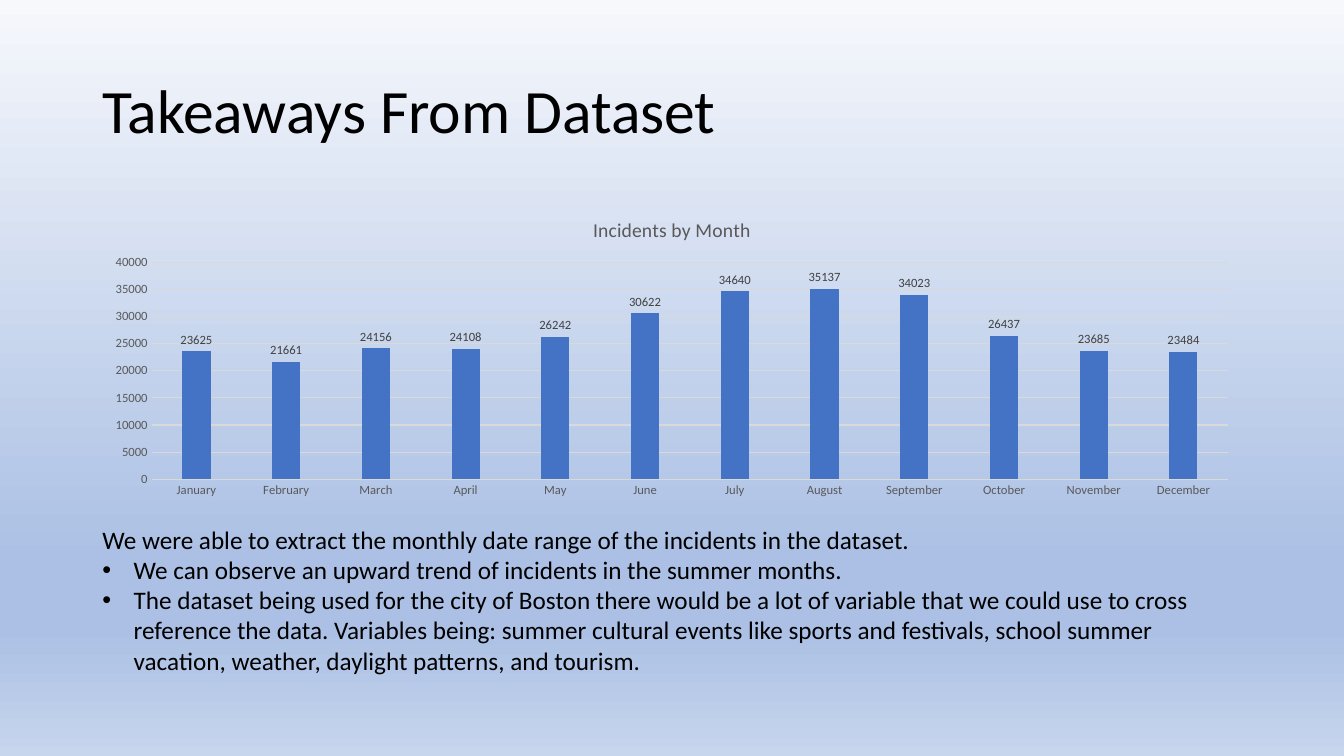
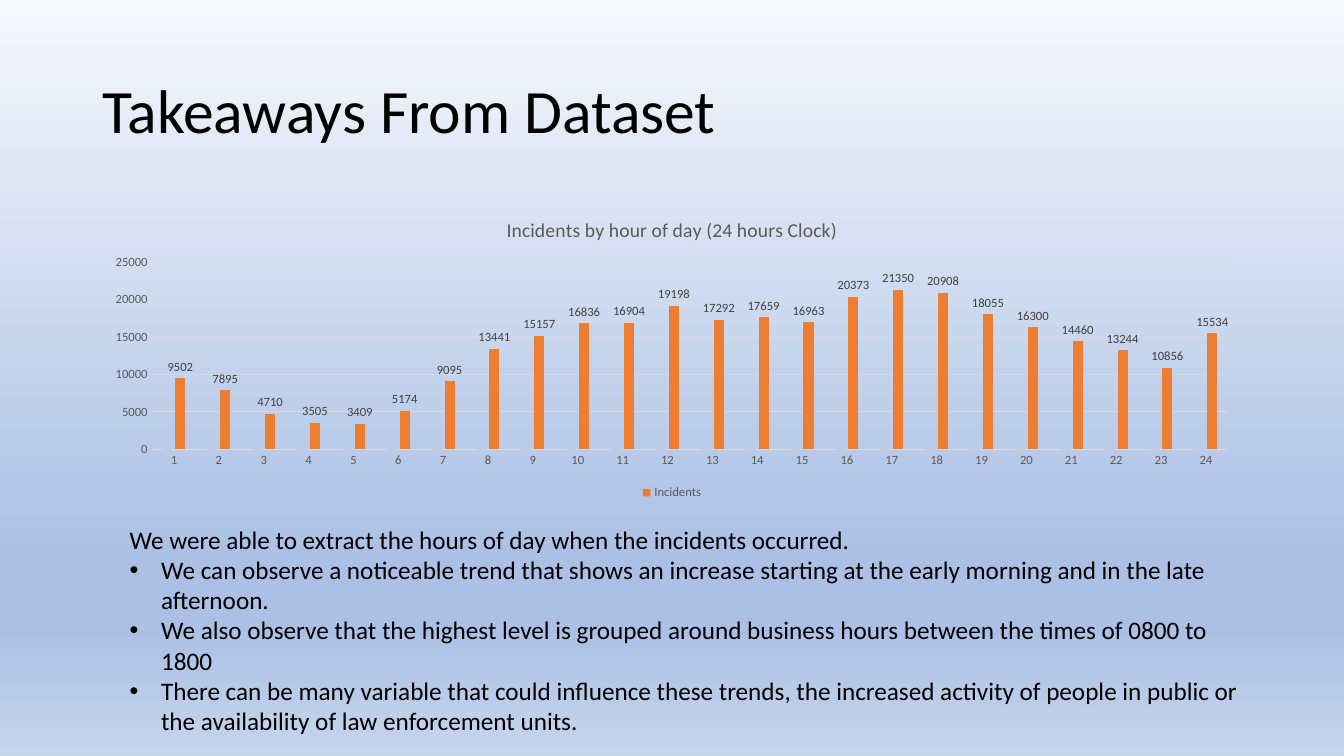
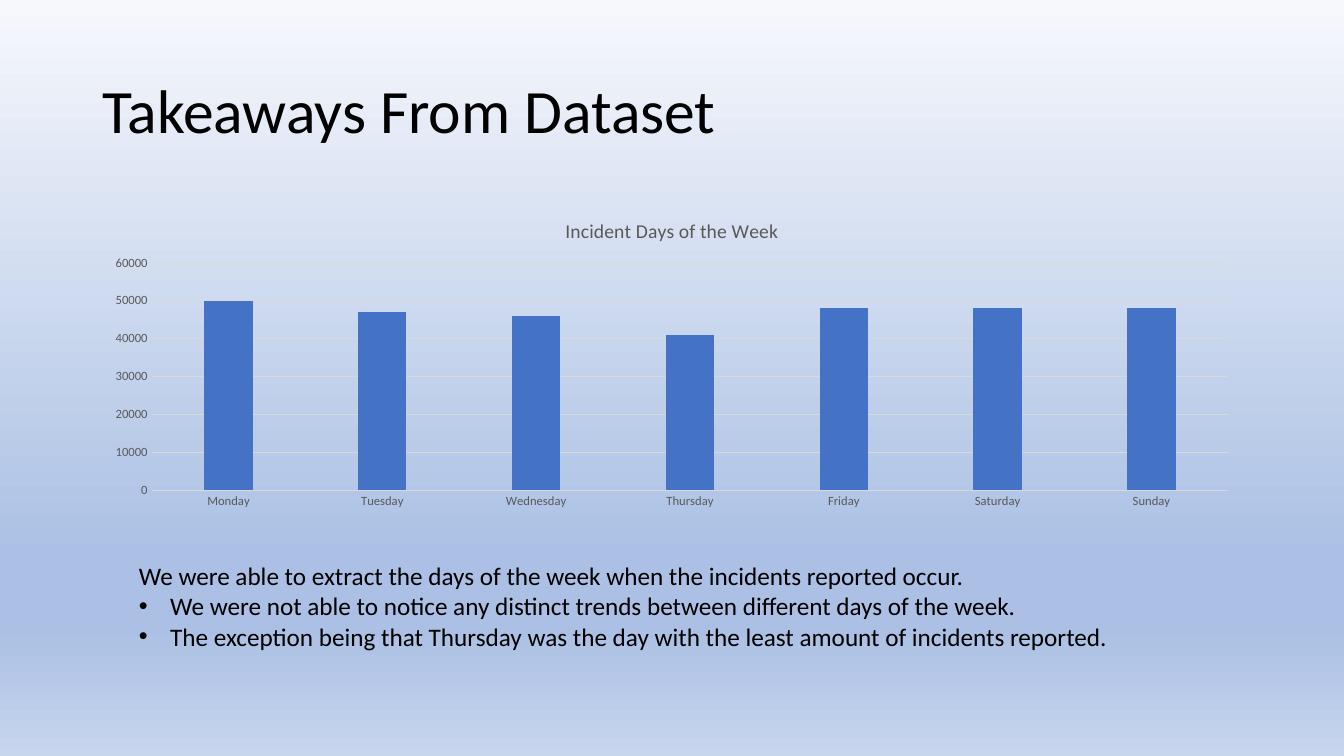
from copy import deepcopy

from lxml import etree
from pptx import Presentation
from pptx.chart.data import CategoryChartData
from pptx.dml.color import RGBColor
from pptx.enum.chart import XL_CHART_TYPE, XL_LABEL_POSITION, XL_LEGEND_POSITION, XL_TICK_MARK
from pptx.enum.text import MSO_ANCHOR, MSO_AUTO_SIZE, PP_ALIGN
from pptx.oxml.ns import qn
from pptx.util import Cm, Pt

COLUMNS = XL_CHART_TYPE.COLUMN_CLUSTERED
OUTSIDE_END = XL_LABEL_POSITION.OUTSIDE_END
LEGEND_BOTTOM = XL_LEGEND_POSITION.BOTTOM
NO_TICK = XL_TICK_MARK.NONE
MIDDLE = MSO_ANCHOR.MIDDLE
NO_AUTOFIT, GROW = MSO_AUTO_SIZE.NONE, MSO_AUTO_SIZE.SHAPE_TO_FIT_TEXT
LEFT = PP_ALIGN.LEFT

BLACK = RGBColor(0x00, 0x00, 0x00)
LABEL_GRAY = RGBColor(0x40, 0x40, 0x40)
AXIS_GRAY = RGBColor(0x59, 0x59, 0x59)
GRID_GRAY = RGBColor(0xD9, 0xD9, 0xD9)
BLUE = RGBColor(0x44, 0x72, 0xC4)
ORANGE = RGBColor(0xED, 0x7D, 0x31)
PALE = RGBColor(0xF6, 0xF8, 0xFC)
MIST = RGBColor(0xAB, 0xC0, 0xE4)
HAZE = RGBColor(0xC7, 0xD5, 0xED)
BACKGROUND_STOPS = ((0, PALE), (0.74, MIST), (0.83, MIST), (1, HAZE))

FONT = "Calibri"
MARGIN, CONTENT_WIDTH = Cm(2.33), Cm(29.21)
BULLET_INDENT = Cm(0.79)

MONTHS = ("January", "February", "March", "April", "May", "June", "July",
          "August", "September", "October", "November", "December")
HOURS = tuple(str(hour) for hour in range(1, 25))
DAYS = ("Monday", "Tuesday", "Wednesday", "Thursday", "Friday", "Saturday", "Sunday")
MONTH_INCIDENTS = (23625, 21661, 24156, 24108, 26242, 30622,
                   34640, 35137, 34023, 26437, 23685, 23484)
HOUR_INCIDENTS = (9502, 7895, 4710, 3505, 3409, 5174, 9095, 13441,
                  15157, 16836, 16904, 19198, 17292, 17659, 16963, 20373,
                  21350, 20908, 18055, 16300, 14460, 13244, 10856, 15534)
DAY_INCIDENTS = (50000, 47000, 46000, 41000, 48000, 48000, 48000)


class TakeawayDeck:
    """Holds the deck style and the slide being built."""

    def __init__(self):
        self.deck = Presentation()
        self.deck.slide_width, self.deck.slide_height = Cm(33.87), Cm(19.05)
        self.slide = None
        self.paint_background()

    def paint_background(self):
        master = self.deck.slide_master
        fill = master.background.fill
        fill.gradient()
        fill.gradient_angle = 270
        stop_list = master.element.find(".//" + qn("p:bg")).find(".//" + qn("a:gsLst"))
        while len(stop_list) < len(BACKGROUND_STOPS):
            stop_list.append(deepcopy(stop_list[0]))
        for stop, (position, color) in zip(fill.gradient_stops, BACKGROUND_STOPS):
            stop.position = position
            stop.color.rgb = color

    def style(self, font, size, color):
        font.name, font.size, font.bold = FONT, Pt(size), False
        font.color.rgb = color

    def add_slide(self, title):
        self.slide = self.deck.slides.add_slide(self.deck.slide_layouts[5])
        box = self.slide.shapes.title
        box.left, box.top, box.width, box.height = MARGIN, Cm(1.01), CONTENT_WIDTH, Cm(3.68)
        frame = box.text_frame
        frame.text = title
        frame.auto_size, frame.vertical_anchor = NO_AUTOFIT, MIDDLE
        paragraph = frame.paragraphs[0]
        paragraph.alignment, paragraph.line_spacing = LEFT, 0.9
        self.style(paragraph.font, 44, BLACK)

    def add_column_chart(self, title, categories, series, height=Cm(7.62), labelled=None):
        data = CategoryChartData()
        data.categories = categories
        for name, values, _ in series:
            data.add_series(name, values)
        chart = self.slide.shapes.add_chart(
            COLUMNS, MARGIN, Cm(5.08), CONTENT_WIDTH, height, data).chart
        self.style(chart.font, 10, BLACK)
        chart.has_legend = False
        chart.has_title = True
        heading = chart.chart_title.text_frame
        heading.text = title
        self.style(heading.paragraphs[0].font, 14, AXIS_GRAY)

        plot = chart.plots[0]
        plot.gap_width, plot.overlap, plot.vary_by_categories = 219, -27, False
        for columns, (name, _, color) in zip(plot.series, series):
            columns.format.fill.solid()
            columns.format.fill.fore_color.rgb = color
            if name == labelled:
                labels = columns.data_labels
                labels.show_value, labels.position = True, OUTSIDE_END
                self.style(labels.font, 9, LABEL_GRAY)

        for axis in (chart.category_axis, chart.value_axis):
            axis.major_tick_mark = axis.minor_tick_mark = NO_TICK
            self.style(axis.tick_labels.font, 9, AXIS_GRAY)
        chart.value_axis.format.line.fill.background()
        for line in (chart.category_axis.format.line,
                     chart.value_axis.major_gridlines.format.line):
            line.color.rgb, line.width = GRID_GRAY, Pt(0.75)
        return chart

    def add_legend(self, chart, hidden):
        chart.has_legend = True
        legend = chart.legend
        legend.position, legend.include_in_layout = LEGEND_BOTTOM, False
        self.style(legend.font, 9, AXIS_GRAY)
        entry = etree.Element(qn("c:legendEntry"))
        etree.SubElement(entry, qn("c:idx")).set("val", str(hidden))
        etree.SubElement(entry, qn("c:delete")).set("val", "1")
        chart.element.find(".//" + qn("c:legendPos")).addnext(entry)

    def add_findings(self, left, top, width, height, lead, bullets, wrap=True):
        box = self.slide.shapes.add_textbox(left, top, width, height)
        frame = box.text_frame
        frame.word_wrap, frame.auto_size = wrap, GROW
        frame.text = "\n".join((lead, *bullets))
        for paragraph in frame.paragraphs[1:]:
            self.add_bullet(paragraph)
        for paragraph in frame.paragraphs:
            self.style(paragraph.font, 18, BLACK)

    def add_bullet(self, paragraph):
        properties = paragraph._p.get_or_add_pPr()
        properties.set("marL", str(BULLET_INDENT))
        properties.set("indent", str(-BULLET_INDENT))
        etree.SubElement(properties, qn("a:buFont")).set("typeface", "Arial")
        etree.SubElement(properties, qn("a:buChar")).set("char", "•")


def main():
    builder = TakeawayDeck()
    title = "Takeaways From Dataset"

    builder.add_slide(title)
    builder.add_column_chart("Incidents by Month", MONTHS,
                             [("Series 1", MONTH_INCIDENTS, BLUE)], labelled="Series 1")
    builder.add_findings(
        MARGIN, Cm(13.08), Cm(28.91), Cm(4.11),
        "We were able to extract the monthly date range of the incidents in the dataset.",
        ["We can observe an upward trend of incidents in the summer months.",
         "The dataset being used for the city of Boston there would be a lot of variable that "
         "we could use to cross reference the data. Variables being: summer cultural events "
         "like sports and festivals, school summer vacation, weather, daylight patterns, "
         "and tourism."])

    builder.add_slide(title)
    chart = builder.add_column_chart(
        "Incidents by hour of day (24 hours Clock)", HOURS,
        [("Series 1", [0] * len(HOURS), BLUE), ("Incidents", HOUR_INCIDENTS, ORANGE)],
        labelled="Incidents")
    builder.add_legend(chart, hidden=0)
    builder.add_findings(
        Cm(3.02), Cm(13.08), Cm(28.52), Cm(5.64),
        "We were able to extract the hours of day when the incidents occurred.",
        ["We can observe a noticeable trend that shows an increase starting at the early "
         "morning and in the late afternoon.",
         "We also observe that the highest level is grouped around business hours between "
         "the times of 0800 to 1800",
         "There can be many variable that could influence these trends, the increased "
         "activity of people in public or the availability of law enforcement units."])

    builder.add_slide(title)
    builder.add_column_chart("Incident Days of the Week", DAYS,
                             [("Series 1", DAY_INCIDENTS, BLUE)], height=Cm(7.9))
    builder.add_findings(
        Cm(3.25), Cm(14), Cm(25.37), Cm(3.33),
        "We were able to extract the days of the week when the incidents reported occur.",
        ["We were not able to notice any distinct trends between different days of the week.",
         "The exception being that Thursday was the day with the least amount of incidents "
         "reported."],
        wrap=False)

    builder.deck.save("out.pptx")


if __name__ == "__main__":
    main()
